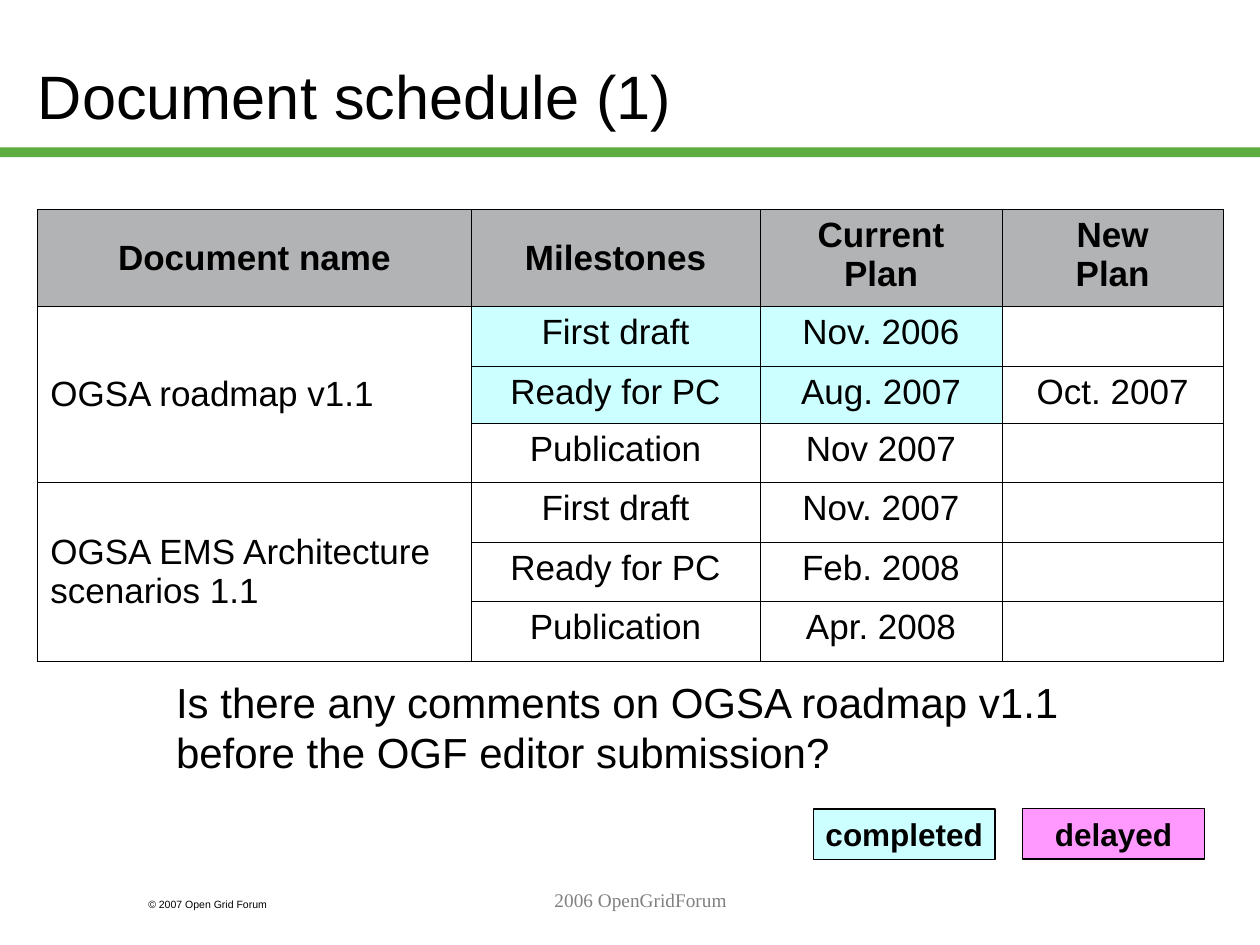
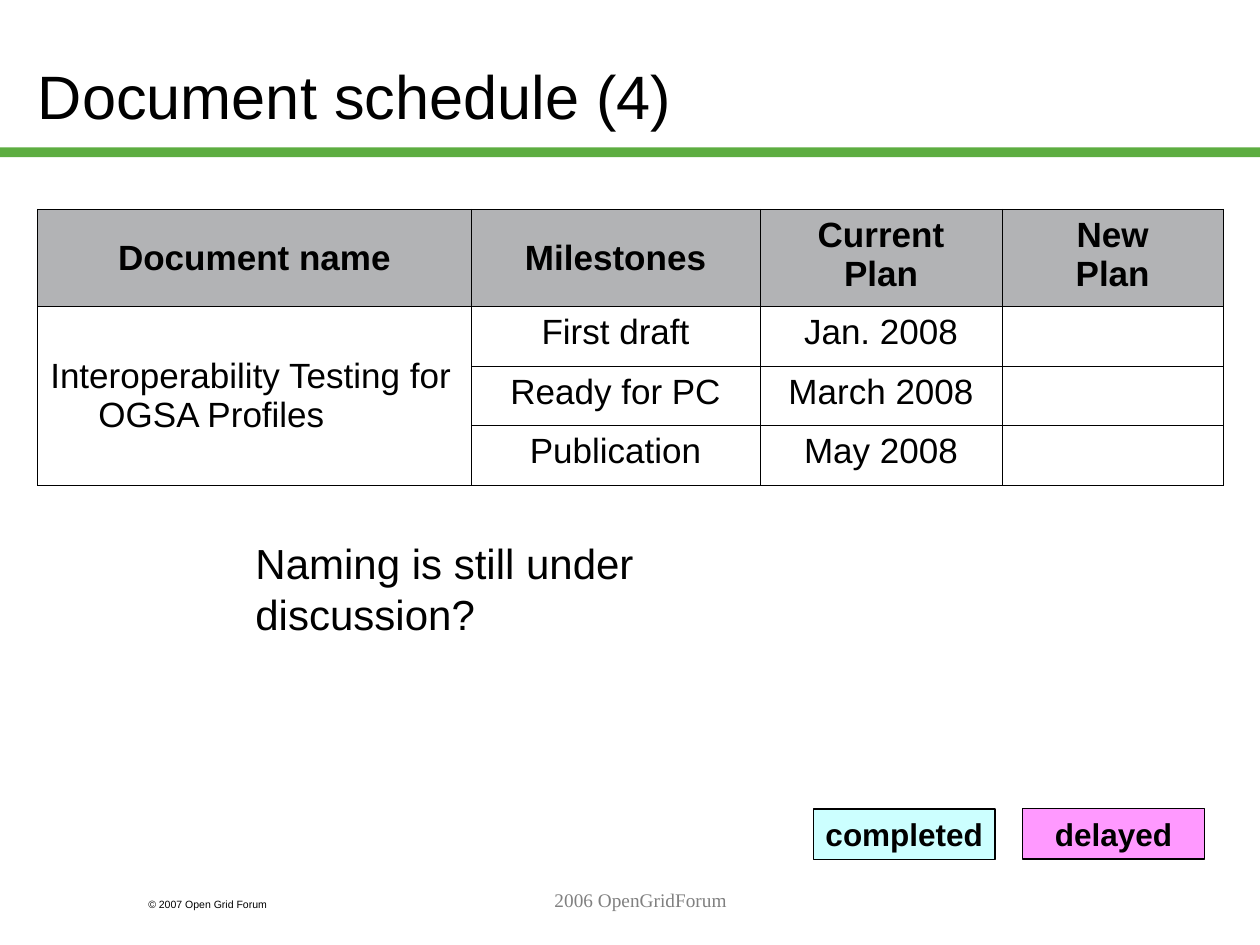
from dataclasses import dataclass

from lxml import etree
from pptx import Presentation
from pptx.dml.color import RGBColor
from pptx.enum.shapes import MSO_SHAPE
from pptx.enum.text import MSO_ANCHOR, PP_ALIGN
from pptx.oxml.ns import qn
from pptx.util import Cm, Pt

RECT = MSO_SHAPE.RECTANGLE
LEFT, CENTER = PP_ALIGN.LEFT, PP_ALIGN.CENTER
TOP, MIDDLE = MSO_ANCHOR.TOP, MSO_ANCHOR.MIDDLE

BLACK, GREY = "000000", "808080"
GREEN, HEADER_GREY = "5DAD41", "B2B3B5"
COMPLETED, DELAYED = "CCFFFF", "FF99FF"

TITLE_ONLY = 5
COLUMN_WIDTHS = (8.74, 5.82, 4.88, 4.46)
HEADERS = (("Document name",), ("Milestones",), ("Current", "Plan"), ("New", "Plan"))
MILESTONES = ("First draft", "Ready for PC", "Publication")
HEADER_HEIGHT, ROW_HEIGHT, REPLANNED_HEIGHT = 1.96, 1.2, 1.15
HANGING_INDENT = 0.97


@dataclass(frozen=True)
class Box:
    x: float
    y: float
    w: float
    h: float

    def lengths(self) -> tuple:
        return Cm(self.x), Cm(self.y), Cm(self.w), Cm(self.h)


@dataclass(frozen=True)
class Style:
    size: float
    bold: bool = False
    color: str = BLACK
    font: str = "Arial"
    align: PP_ALIGN = LEFT


@dataclass(frozen=True)
class Document:
    name: tuple[str, ...]
    current: tuple[str, str, str]
    new: tuple[str, str, str] = ("", "", "")
    completed: int = 0  # number of milestones already reached


@dataclass(frozen=True)
class Schedule:
    title: str
    documents: tuple[Document, ...]
    note: str
    note_box: Box
    note_wraps: bool


TITLE = Style(35)
NOTE = Style(24)
LEGEND = Style(18, bold=True, align=CENTER)
COPYRIGHT = Style(6)
FOOTER = Style(11, color=GREY, font="Times New Roman", align=CENTER)
HEADER = Style(20, bold=True, align=CENTER)
NAME = Style(20)
ENTRY = Style(20, align=CENTER)

SCHEDULES = (
    Schedule(
        "Document schedule (1)",
        (
            Document(("OGSA roadmap v1.1",), ("Nov. 2006", "Aug. 2007", "Nov 2007"),
                     ("", "Oct. 2007", ""), completed=2),
            Document(("OGSA EMS Architecture", "scenarios 1.1"),
                     ("Nov. 2007", "Feb. 2008", "Apr. 2008")),
        ),
        "Is there any comments on OGSA roadmap v1.1 before the OGF editor submission?",
        Box(3.3, 13.51, 20.4, 2.29),
        True,
    ),
    Schedule(
        "Document schedule (4)",
        (
            Document(("Interoperability Testing for OGSA Profiles",),
                     ("Jan. 2008", "March 2008", "May 2008")),
        ),
        "Naming is still under discussion?",
        Box(4.9, 10.72, 12.78, 1.27),
        False,
    ),
)


def rgb(color: str) -> RGBColor:
    return RGBColor.from_string(color)


def write(tf, lines: tuple[str, ...], style: Style) -> None:
    for i, line in enumerate(lines):
        p = tf.add_paragraph() if i else tf.paragraphs[0]
        p.alignment = style.align
        r = p.add_run()
        r.text = line
        r.font.name = style.font
        r.font.size = Pt(style.size)
        r.font.bold = style.bold
        r.font.color.rgb = rgb(style.color)


def add_text(slide, box: Box, text: str, style: Style, wrap: bool = True):
    s = slide.shapes.add_textbox(*box.lengths())
    s.text_frame.word_wrap = wrap
    write(s.text_frame, (text,), style)
    return s


def add_rect(slide, box: Box, fill: str):
    s = slide.shapes.add_shape(RECT, *box.lengths())
    s.shadow.inherit = False
    s.fill.solid()
    s.fill.fore_color.rgb = rgb(fill)
    s.line.fill.background()
    return s


def add_legend(slide, box: Box, label: str, fill: str) -> None:
    s = add_rect(slide, box, fill)
    s.line.color.rgb = rgb(BLACK)
    s.line.width = Pt(0.75)
    s.text_frame.word_wrap = False
    s.text_frame.vertical_anchor = MIDDLE
    write(s.text_frame, (label,), LEGEND)


def set_borders(cell) -> None:
    tc_pr = cell._tc.get_or_add_tcPr()
    for side in ("lnL", "lnR", "lnT", "lnB"):
        ln = etree.SubElement(tc_pr, qn(f"a:{side}"), w=str(Pt(0.45)))
        fill = etree.SubElement(ln, qn("a:solidFill"))
        etree.SubElement(fill, qn("a:srgbClr"), val=BLACK)


def fill_cell(cell, lines: tuple[str, ...], style: Style,
              anchor: MSO_ANCHOR = TOP, fill: str = "") -> None:
    if fill:
        cell.fill.solid()
        cell.fill.fore_color.rgb = rgb(fill)
    cell.vertical_anchor = anchor
    if not any(lines):
        return
    write(cell.text_frame, lines, style)
    for p in cell.text_frame.paragraphs:
        p_pr = p._p.get_or_add_pPr()
        p_pr.set("marL", str(Cm(HANGING_INDENT)))
        p_pr.set("indent", str(-Cm(HANGING_INDENT)))


def add_schedule_table(slide, documents: tuple[Document, ...]) -> None:
    steps = len(MILESTONES)
    heights = [HEADER_HEIGHT] + [
        REPLANNED_HEIGHT if new else ROW_HEIGHT for d in documents for new in d.new]
    box = Box(0.76, 4.22, sum(COLUMN_WIDTHS), sum(heights))
    table = slide.shapes.add_table(
        len(heights), len(COLUMN_WIDTHS), *box.lengths()).table
    table.first_row = table.horz_banding = False
    for column, width in zip(table.columns, COLUMN_WIDTHS):
        column.width = Cm(width)
    for row, height in zip(table.rows, heights):
        row.height = Cm(height)
    for cell in table.iter_cells():
        set_borders(cell)
        cell.fill.background()

    for col, lines in enumerate(HEADERS):
        anchor = MIDDLE if len(lines) == 1 else TOP
        fill_cell(table.cell(0, col), lines, HEADER, anchor, HEADER_GREY)

    # One merged name cell and three milestone rows per document
    for n, d in enumerate(documents):
        top = 1 + n * steps
        name = table.cell(top, 0)
        name.merge(table.cell(top + steps - 1, 0))
        fill_cell(name, d.name, NAME, MIDDLE)
        for i, (milestone, current, new) in enumerate(zip(MILESTONES, d.current, d.new)):
            fill = COMPLETED if i < d.completed else ""
            fill_cell(table.cell(top + i, 1), (milestone,), ENTRY, fill=fill)
            fill_cell(table.cell(top + i, 2), (current,), ENTRY, fill=fill)
            fill_cell(table.cell(top + i, 3), (new,), ENTRY)


def add_frame(slide) -> None:
    """Band, copyright line, legend and footer of every slide."""
    add_rect(slide, Box(0, 2.97, 25.4, 0.2), GREEN)
    add_text(slide, Box(2.74, 17.98, 3.81, 0.51), "© 2007 Open Grid Forum", COPYRIGHT)
    add_legend(slide, Box(16.4, 16.31, 3.66, 1.02), "completed", COMPLETED)
    add_legend(slide, Box(20.62, 16.3, 3.66, 1.02), "delayed", DELAYED)
    add_text(slide, Box(5.51, 17.78, 14.81, 1.27), "2006 OpenGridForum", FOOTER)


def add_schedule_slide(prs, schedule: Schedule) -> None:
    slide = prs.slides.add_slide(prs.slide_layouts[TITLE_ONLY])
    add_frame(slide)
    title = slide.shapes.title
    title.left, title.top, title.width, title.height = Box(0.51, 0.33, 21.59, 3.18).lengths()
    title.text_frame.vertical_anchor = MIDDLE
    write(title.text_frame, (schedule.title,), TITLE)
    add_schedule_table(slide, schedule.documents)
    add_text(slide, schedule.note_box, schedule.note, NOTE, schedule.note_wraps)


def main() -> None:
    prs = Presentation()
    prs.slide_width, prs.slide_height = Cm(25.4), Cm(19.05)
    for schedule in SCHEDULES:
        add_schedule_slide(prs, schedule)
    prs.save("out.pptx")


if __name__ == "__main__":
    main()
